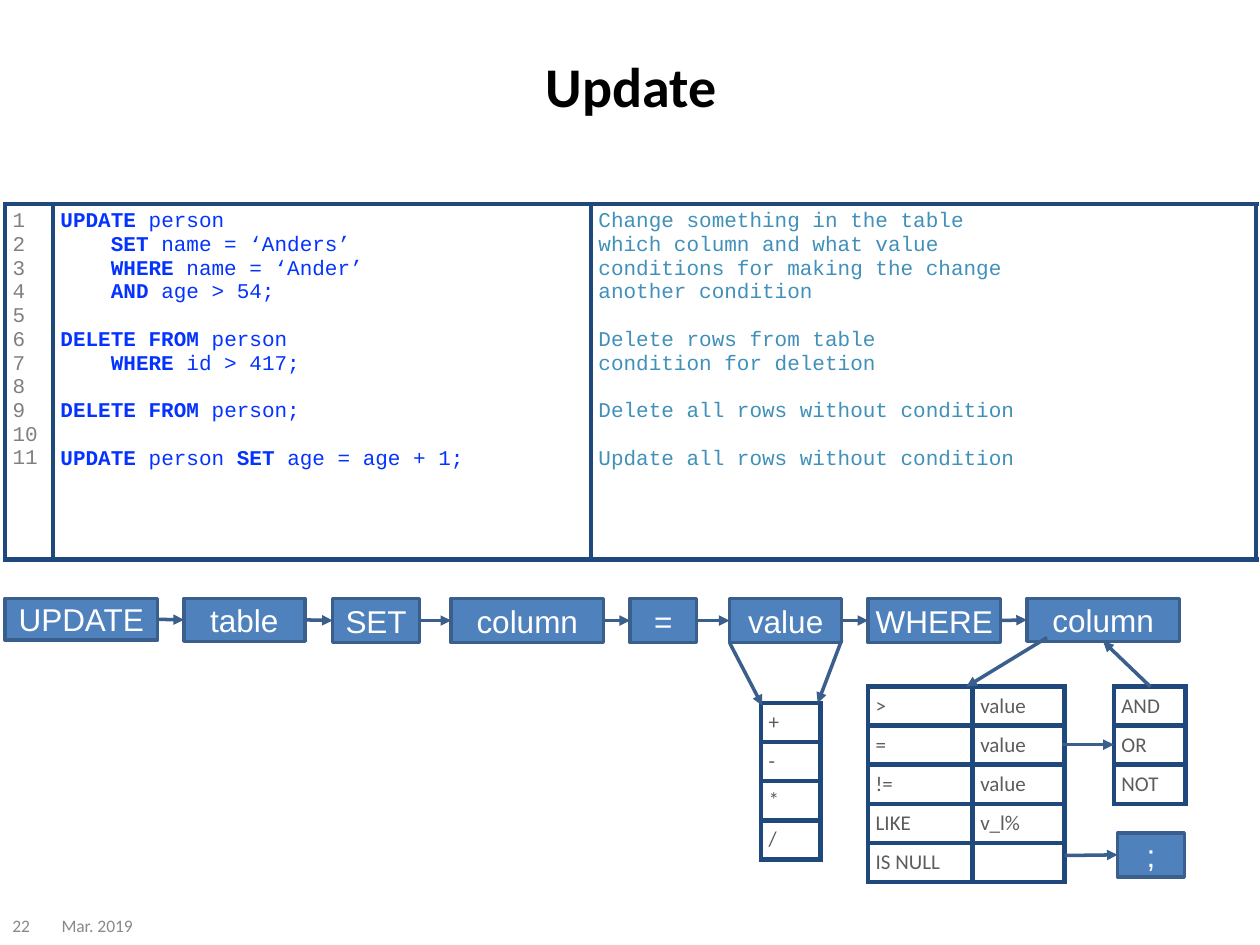
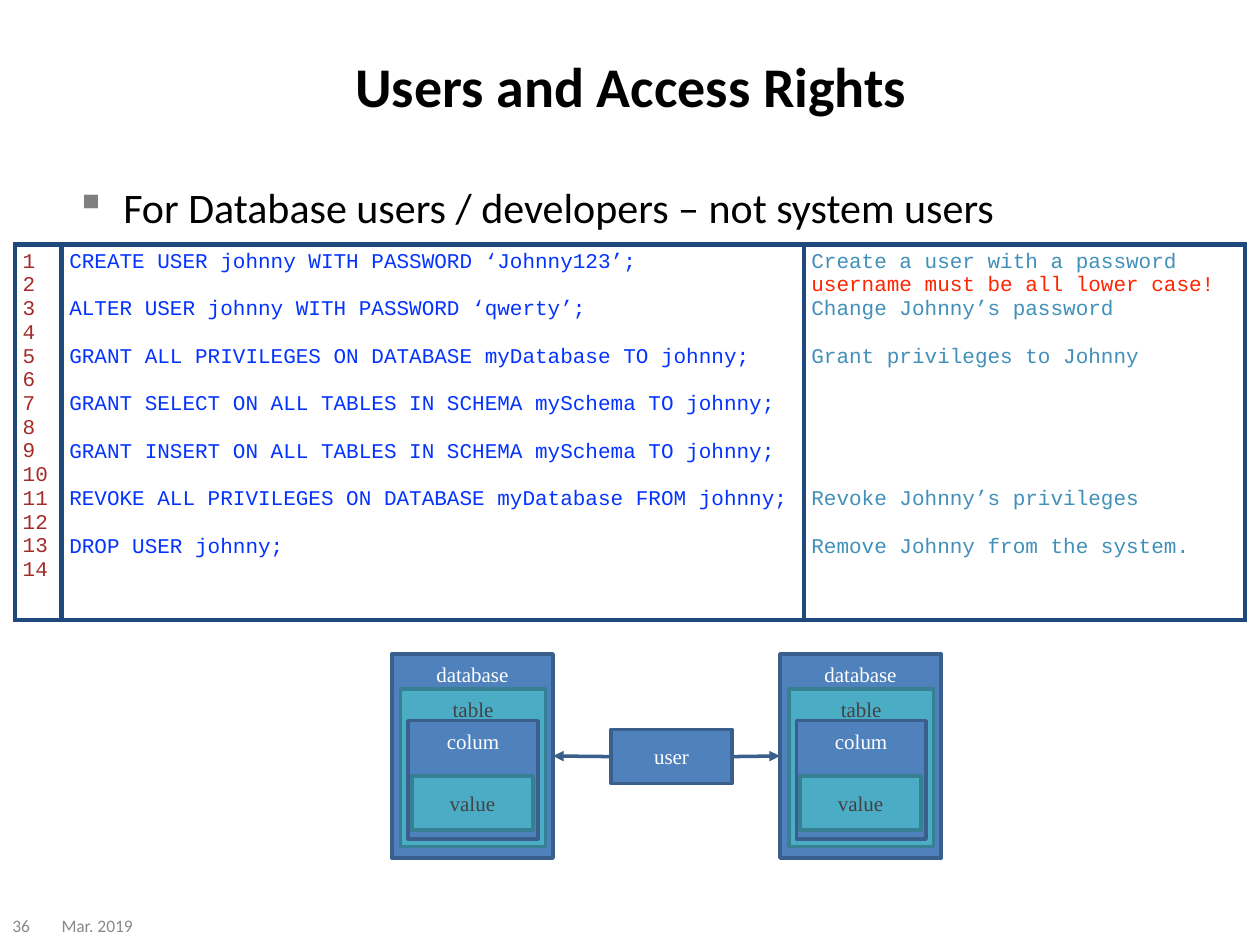
from lxml import etree
from pptx import Presentation
from pptx.dml.color import RGBColor
from pptx.enum.shapes import MSO_CONNECTOR, MSO_SHAPE
from pptx.enum.text import MSO_ANCHOR, PP_ALIGN
from pptx.oxml.ns import qn
from pptx.util import Inches, Pt

BLACK = RGBColor(0x00, 0x00, 0x00)
WHITE = RGBColor(0xFF, 0xFF, 0xFF)
FOOTER_GREY = RGBColor(0x89, 0x89, 0x89)
NUMBER_GREY = RGBColor(0x80, 0x80, 0x80)
NUMBER_BROWN = RGBColor(0xA5, 0x2A, 0x2A)
CELL_GREY = RGBColor(0x5C, 0x5C, 0x5C)
CODE_BLUE = RGBColor(0x04, 0x33, 0xFF)
NOTE_BLUE = RGBColor(0x40, 0x90, 0xB9)
WARNING_RED = RGBColor(0xFF, 0x25, 0x00)
BORDER_NAVY = RGBColor(0x1F, 0x49, 0x7D)
BOX_BLUE = RGBColor(0x4F, 0x81, 0xBD)
BOX_EDGE = RGBColor(0x3A, 0x5F, 0x8C)
BOX_TEAL = RGBColor(0x4B, 0xAC, 0xC6)
TEAL_EDGE = RGBColor(0x37, 0x7F, 0x92)
TEAL_TEXT = RGBColor(0x43, 0x43, 0x43)

BLUE = (BOX_BLUE, BOX_EDGE, WHITE)
TEAL = (BOX_TEAL, TEAL_EDGE, TEAL_TEXT)
BODY_FONT, CODE_FONT = "Calibri", "Courier New"
FLOW_FONT, NESTED_FONT = "Arial", "Times New Roman"
CODE_LINE = 13.6
BOTTOM, LEFT, RIGHT = 2, 1, 3
TOP, MIDDLE = MSO_ANCHOR.TOP, MSO_ANCHOR.MIDDLE
CENTER = PP_ALIGN.CENTER
RECTANGLE = MSO_SHAPE.RECTANGLE
STRAIGHT = MSO_CONNECTOR.STRAIGHT

UPDATE_CODE = [
    "*UPDATE *person",
    "*    SET *name = ‘Anders’",
    "*    WHERE *name = ‘Ander’",
    "*    AND *age > 54;",
    "",
    "*DELETE FROM *person",
    "    *WHERE* id > 417;",
    "",
    "*DELETE FROM* person;",
    "",
    "*UPDATE *person* SET *age = age + 1;",
]
UPDATE_NOTES = [
    "Change something in the table",
    "which column and what value",
    "conditions for making the change",
    "another condition",
    "",
    "Delete rows from table",
    "condition for deletion",
    "",
    "Delete all rows without condition",
    "",
    "Update all rows without condition",
]
ACCESS_CODE = [
    "CREATE USER johnny WITH PASSWORD ‘Johnny123’;",
    "",
    "ALTER USER johnny WITH PASSWORD ‘qwerty’;",
    "",
    "GRANT ALL PRIVILEGES ON DATABASE myDatabase TO johnny;",
    "",
    "GRANT SELECT ON ALL TABLES IN SCHEMA mySchema TO johnny;",
    "",
    "GRANT INSERT ON ALL TABLES IN SCHEMA mySchema TO johnny;",
    "",
    "REVOKE ALL PRIVILEGES ON DATABASE myDatabase FROM johnny;",
    "",
    "DROP USER johnny;",
]
ACCESS_NOTES = [
    "Create a user with a password",
    "username must be all lower case!",
    "Change Johnny’s password",
    "",
    "Grant privileges to Johnny",
    *[""] * 5,
    "Revoke Johnny’s privileges",
    "",
    "Remove Johnny from the system.",
]


class Deck:
    """Draws the course's slide elements on the current slide."""

    def __init__(self):
        self.prs = Presentation()
        self.prs.slide_width, self.prs.slide_height = Inches(10), Inches(7.5)
        self.slide = None

    def new_slide(self, title, number):
        self.slide = self.prs.slides.add_slide(self.prs.slide_layouts[6])
        heading = self.text(title, 0.51, 0.05, 9, 1.25, 32, BLACK, bold=True)
        heading.alignment = CENTER
        self.text("Mar. 2019", 0.39, 7.19, 0.94, 0.31, 10, FOOTER_GREY)
        self.text(number, 0, 7.19, 0.47, 0.31, 10, FOOTER_GREY)

    def style(self, paragraph, font, size, colour, bold=False):
        for run in paragraph.runs:
            run.font.name, run.font.size = font, Pt(size)
            run.font.color.rgb, run.font.bold = colour, bold

    def text(self, words, left, top, width, height, size, colour,
             bold=False, anchor=MIDDLE):
        frame = self.slide.shapes.add_textbox(
            Inches(left), Inches(top), Inches(width), Inches(height)).text_frame
        frame.word_wrap, frame.vertical_anchor = True, anchor
        frame.text = words
        self.style(frame.paragraphs[0], BODY_FONT, size, colour, bold)
        return frame.paragraphs[0]

    def bullet(self, words, left, top, width, height):
        paragraph = self.text(words, left, top, width, height, 24, BLACK, anchor=TOP)
        props = paragraph._p.get_or_add_pPr()
        props.set("marL", str(Inches(0.38)))
        props.set("indent", str(-Inches(0.38)))
        colour = etree.SubElement(props, qn("a:buClr"))
        etree.SubElement(colour, qn("a:srgbClr"), val="7F7F7F")
        etree.SubElement(props, qn("a:buChar"), char="▪")

    def box(self, words, left, top, width, height, font, size, look=BLUE, anchor=MIDDLE):
        shape = self.slide.shapes.add_shape(
            RECTANGLE, Inches(left), Inches(top), Inches(width), Inches(height))
        fill, edge, ink = look
        shape.shadow.inherit = False
        shape.fill.solid()
        shape.fill.fore_color.rgb = fill
        shape.line.color.rgb, shape.line.width = edge, Pt(2)
        frame = shape.text_frame
        frame.margin_left = frame.margin_right = Inches(0.06)
        frame.margin_top = frame.margin_bottom = Inches(0.06)
        frame.vertical_anchor = anchor
        frame.text = words
        frame.paragraphs[0].alignment = CENTER
        self.style(frame.paragraphs[0], font, size, ink)
        return shape

    def arrow(self, start=(0, 0), end=(0, 0), begin=None, finish=None):
        line = self.slide.shapes.add_connector(STRAIGHT, *map(Inches, start + end))
        if begin:
            line.begin_connect(*begin)
        if finish:
            line.end_connect(*finish)
        line.line.color.rgb, line.line.width = BOX_EDGE, Pt(2)
        props = line._element.spPr
        etree.SubElement(props.find(qn("a:ln")), qn("a:tailEnd"), type="triangle")
        etree.SubElement(props, qn("a:effectLst"))

    def border(self, cell):
        props = cell._tc.get_or_add_tcPr()
        for side in ("lnL", "lnR", "lnT", "lnB"):
            edge = etree.SubElement(props, qn(f"a:{side}"), w=str(Pt(3)))
            fill = etree.SubElement(edge, qn("a:solidFill"))
            etree.SubElement(fill, qn("a:srgbClr"), val=str(BORDER_NAVY))

    def grid(self, left, top, widths, row_height, row_count):
        table = self.slide.shapes.add_table(
            row_count, len(widths), Inches(left), Inches(top),
            Inches(sum(widths)), Inches(row_height * row_count)).table
        table.first_row = table.horz_banding = False
        for column, width in zip(table.columns, widths):
            column.width = Inches(width)
        for cell in table.iter_cells():
            self.border(cell)
            cell.fill.background()
            cell.margin_left = cell.margin_right = Inches(0.06)
            cell.margin_top = cell.margin_bottom = Inches(0.05)
        return table

    def operators(self, left, top, widths, rows):
        table = self.grid(left, top, widths, 0.31, len(rows))
        words = [word for row in rows for word in row]
        for cell, word in zip(table.iter_cells(), words):
            cell.vertical_anchor = MIDDLE
            paragraph = cell.text_frame.paragraphs[0]
            if word:
                paragraph.text = word
                self.style(paragraph, BODY_FONT, 12, CELL_GREY)
            else:
                etree.SubElement(paragraph._p, qn("a:endParaRPr"), sz="1200")

    def code_lines(self, cell, lines, colour):
        """Writes lines, turning empty ones into spacing and *marks* into bold."""
        frame, gap = cell.text_frame, 0
        for index, line in enumerate(lines):
            if not line:
                gap += CODE_LINE
                continue
            paragraph = frame.add_paragraph() if index else frame.paragraphs[0]
            for part, words in enumerate(line.split("*")):
                if words:
                    run = paragraph.add_run()
                    run.text = words
                    run.font.name, run.font.size = CODE_FONT, Pt(12)
                    run.font.color.rgb, run.font.bold = colour, part % 2 == 1
            if gap:
                paragraph.space_before = Pt(gap)
            gap = 0

    def listing(self, left, top, widths, height, last_number, number_colour, code, notes):
        cells = list(self.grid(left, top, widths, height, 1).iter_cells())
        numbers = [str(number) for number in range(1, last_number + 1)]
        columns = [(numbers, number_colour), (code, CODE_BLUE), (notes, NOTE_BLUE)]
        for cell, (lines, colour) in zip(cells, columns):
            self.code_lines(cell, lines, colour)
        return cells


def update_slide(deck):
    deck.new_slide("Update", "22")
    deck.listing(0.04, 1.62, [0.38, 4.27, 5.28], 2.82, 11, NUMBER_GREY,
                 UPDATE_CODE, UPDATE_NOTES)
    statement = [
        ("UPDATE", 0.04, 1.21, 0.33), ("table", 1.46, 0.96, 0.34),
        ("SET", 2.64, 0.69, 0.35), ("column", 3.58, 1.21, 0.35),
        ("=", 5, 0.53, 0.35), ("value", 5.79, 0.89, 0.35),
        ("WHERE", 6.89, 1.05, 0.35), ("column", 8.15, 1.21, 0.34),
    ]
    steps = [deck.box(word, left, 4.75, width, height, FLOW_FONT, 18)
             for word, left, width, height in statement]
    for step, following in zip(steps, steps[1:]):
        deck.arrow(begin=(step, RIGHT), finish=(following, LEFT))
    terminator = deck.box(";", 8.87, 6.61, 0.53, 0.35, FLOW_FONT, 18)

    deck.operators(6.89, 5.45, [0.83, 0.73], [
        (">", "value"), ("=", "value"), ("!=", "value"), ("LIKE", "v_l%"), ("IS NULL", "")])
    deck.operators(8.84, 5.45, [0.57], ["AND", "OR", "NOT"] and [("AND",), ("OR",), ("NOT",)])
    deck.operators(6.04, 5.58, [0.47], ["+", "-", "*", "/"])

    deck.arrow((8.31, 5.06), (7.67, 5.45))
    deck.arrow((9.13, 5.45), finish=(steps[-1], BOTTOM))
    deck.arrow((8.45, 6.79), finish=(terminator, LEFT))
    deck.arrow((8.43, 5.91), (8.84, 5.91))
    deck.arrow((5.79, 5.1), (6.05, 5.6))
    deck.arrow((6.68, 5.08), (6.49, 5.58))


def access_slide(deck):
    deck.new_slide("Users and Access Rights", "36")
    deck.bullet("For Database users / developers – not system users", 0.5, 1.39, 8.75, 3.51)
    notes = deck.listing(0.12, 1.94, [0.37, 5.89, 3.5], 2.98, 14, NUMBER_BROWN,
                         ACCESS_CODE, ACCESS_NOTES)[2]
    warning = notes.text_frame.paragraphs[1]
    deck.style(warning, CODE_FONT, 12, WARNING_RED)

    levels = [
        ("database", 0, 5.19, 1.28, 1.62, BLUE, TOP),
        ("table", 0.07, 5.47, 1.15, 1.25, TEAL, TOP),
        ("colum", 0.13, 5.72, 1.03, 0.94, BLUE, TOP),
        ("value", 0.16, 6.16, 0.96, 0.43, TEAL, MIDDLE),
    ]
    user = deck.box("user", 4.85, 5.79, 0.96, 0.43, NESTED_FONT, 12)
    for left, user_side, database_side in ((3.11, LEFT, RIGHT), (6.19, RIGHT, LEFT)):
        database, *_ = [
            deck.box(word, left + inset, top, width, height, NESTED_FONT, 12, look, anchor)
            for word, inset, top, width, height, look, anchor in levels]
        deck.arrow(begin=(user, user_side), finish=(database, database_side))


def main():
    deck = Deck()
    update_slide(deck)
    access_slide(deck)
    deck.prs.save("out.pptx")


if __name__ == "__main__":
    main()
